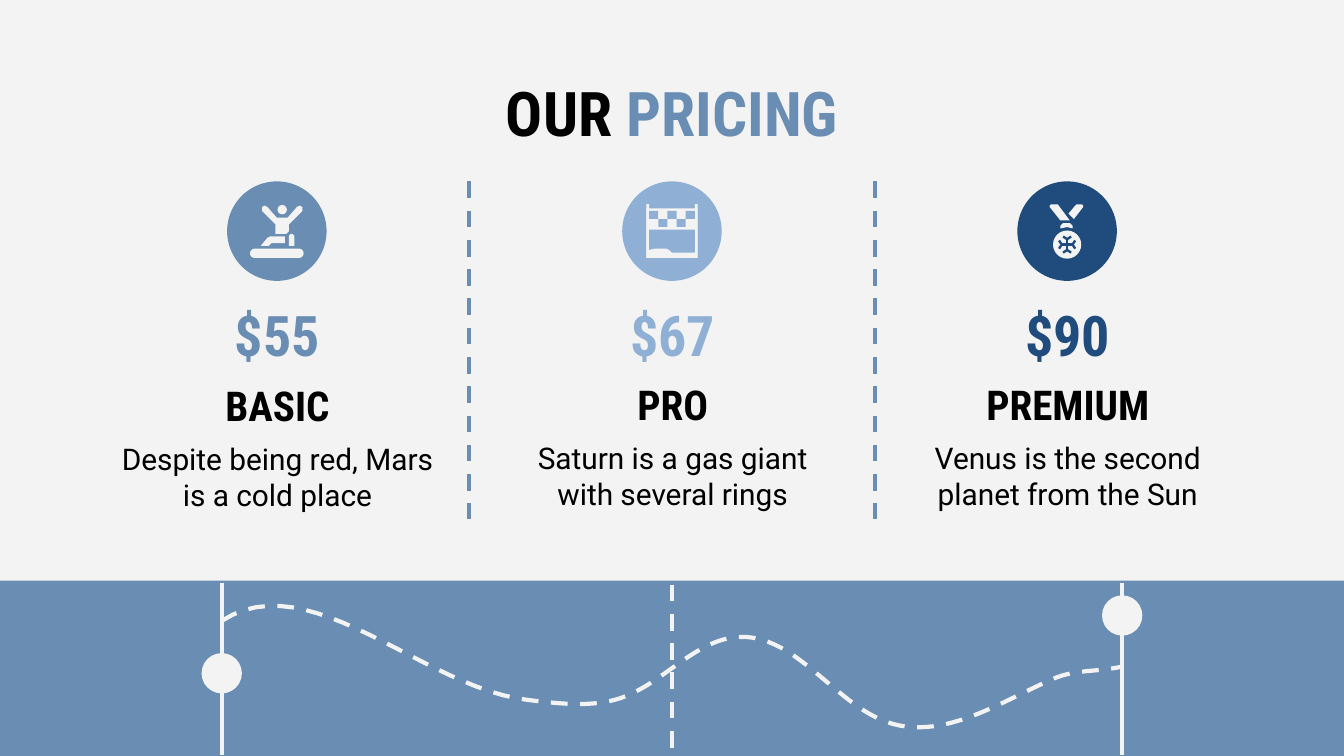
from lxml.etree import SubElement
from pptx import Presentation
from pptx.dml.color import RGBColor
from pptx.enum.dml import MSO_LINE
from pptx.enum.shapes import MSO_CONNECTOR, MSO_SHAPE
from pptx.enum.text import MSO_ANCHOR, MSO_AUTO_SIZE, PP_ALIGN
from pptx.oxml.ns import qn
from pptx.util import Emu, Pt

PX = 9144  # 100 px to the inch
WIDTH = 1000
COLORS = {
    "paper": "F3F3F3",
    "ink": "000000",
    "steel": "6A8DB4",
    "sky": "8FB0D4",
    "navy": "1F4C7C",
}
HEADING, BODY = "Roboto Condensed", "Roboto"


def px(value):
    return Emu(round(value * PX))


def rgb(name):
    return RGBColor.from_string(COLORS[name])


def write(box, *spans, font=BODY, size=16, bold=False):
    """Fill a box with one centred paragraph of (text, colour) spans."""
    frame = box.text_frame
    frame.word_wrap = True
    frame.auto_size = MSO_AUTO_SIZE.NONE
    frame.vertical_anchor = MSO_ANCHOR.TOP
    frame.margin_left = frame.margin_right = px(10)
    frame.margin_top = frame.margin_bottom = px(10)
    para = frame.paragraphs[0]
    para.alignment = PP_ALIGN.CENTER
    para.line_spacing = 1.0
    para.space_before = Pt(0)
    for words, color in spans:
        span = para.add_run()
        span.text = words
        span.font.name = font
        span.font.size = Pt(size)
        span.font.bold = bold
        span.font.color.rgb = rgb(color)


def trace(start, curves, steps=24):
    """Points along a chain of cubic curves."""
    points = [start]
    for curve in curves:
        a, (b, c, d) = points[-1], curve
        for step in range(1, steps + 1):
            t = step / steps
            u = 1 - t
            points.append(tuple(
                u**3 * a[i] + 3 * u * u * t * b[i] + 3 * u * t * t * c[i] + t**3 * d[i]
                for i in (0, 1)))
    return points


class Page:
    def __init__(self, deck):
        self.slide = deck.slides.add_slide(deck.slide_layouts[5])
        self.shapes = self.slide.shapes
        self.slide.background.fill.solid()
        self.slide.background.fill.fore_color.rgb = rgb("paper")

    def title(self, x, y, w, h, *spans, **style):
        box = self.shapes.title
        box.left, box.top, box.width, box.height = map(px, (x, y, w, h))
        write(box, *spans, **style)

    def text(self, x, y, w, h, *spans, **style):
        write(self.shapes.add_textbox(*map(px, (x, y, w, h))), *spans, **style)

    def paint(self, shape, color):
        shape.shadow.inherit = False
        shape.fill.solid()
        shape.fill.fore_color.rgb = rgb(color)
        shape.line.fill.background()

    def shape(self, kind, x, y, w, h, color):
        item = self.shapes.add_shape(kind, *map(px, (x, y, w, h)))
        self.paint(item, color)
        return item

    def rect(self, *place):
        self.shape(MSO_SHAPE.RECTANGLE, *place)

    def disc(self, center_x, center_y, size, color):
        self.shape(MSO_SHAPE.OVAL, center_x - size / 2, center_y - size / 2,
                   size, size, color)

    def outline(self, points, closed):
        places = [(px(x), px(y)) for x, y in points]
        builder = self.shapes.build_freeform(*places[0])
        builder.add_line_segments(places[1:], close=closed)
        return builder.convert_to_shape()

    def polygon(self, points, color="paper"):
        self.paint(self.outline(points, True), color)

    def stroke(self, item, color, width, dashed):
        item.line.color.rgb = rgb(color)
        item.line.width = Pt(width)
        if dashed:
            item.line.dash_style = MSO_LINE.DASH

    def curve(self, points, color, width=2.25, dashed=False):
        item = self.outline(points, False)
        item.shadow.inherit = False
        item.fill.background()
        self.stroke(item, color, width, dashed)

    def line(self, x1, y1, x2, y2, color, width=2.25, dashed=False):
        item = self.shapes.add_connector(
            MSO_CONNECTOR.STRAIGHT, *map(px, (x1, y1, x2, y2)))
        self.stroke(item, color, width, dashed)
        SubElement(item._element.spPr, qn("a:effectLst"))


def draw_track(page):
    """The band at the foot with its poles and winding route."""
    page.rect(0, 432, WIDTH, 131, "steel")
    for x, dashed in ((165, False), (835, False), (500, True)):
        page.line(x, 435 if dashed else 434, x, 562, "paper", dashed=dashed)
    page.disc(165, 501, 30, "paper")
    page.disc(835, 458, 30, "paper")
    page.curve(trace((165, 462), [
        ((231, 419), (316, 513), (394, 521)),
        ((419, 524), (446, 527), (468, 517)),
        ((496, 505), (519, 476), (549, 474)),
        ((595, 471), (625, 532), (670, 540)),
        ((709, 547), (747, 521), (784, 505)),
        ((800, 498), (818, 500), (835, 496)),
    ]), "paper", dashed=True)


def draw_rider(page, color):
    board = page.shape(MSO_SHAPE.ROUNDED_RECTANGLE, 186, 185, 40, 7, "paper")
    board.adjustments[0] = 0.5
    page.disc(210, 156, 7, "paper")
    foot = page.shape(MSO_SHAPE.ROUND_2_SAME_RECTANGLE, 215, 174, 4, 9, "paper")
    foot.adjustments[0] = 0.5
    page.polygon([(197, 153), (199, 154), (206, 162), (214, 162), (221, 154),
                  (223, 153), (225, 154), (225, 157), (215, 167), (215, 172),
                  (213, 174), (205, 174), (205, 167), (195, 157), (195, 154)])
    page.polygon([(201, 176), (212, 176), (212, 181), (202, 181), (200, 183),
                  (194, 183), (199, 177)])


def draw_finish(page, color):
    for x in (481, 517):
        page.rect(x, 152, 2, 40, "paper")
    page.rect(481, 155, 38, 37, "paper")
    cell = 34 / 5
    for column in range(5):
        page.rect(483 + column * cell, 157 + column % 2 * 6, cell, 6, color)
    page.polygon([(483, 171), (517, 171), (517, 188), (500, 188), (498, 186),
                  (496, 185), (487, 185), (483, 186)], color)


def draw_medal(page, color):
    page.polygon([(782, 152), (787, 152), (796, 164), (789, 164), (781, 154),
                  (781, 153)])
    page.polygon([(801, 152), (805, 152), (806, 153), (806, 154), (799, 163),
                  (795, 159), (800, 153)])
    page.polygon([(791, 166), (796, 166), (798, 168), (798, 170), (794, 169),
                  (789, 170), (789, 168)])
    x, y = 794, 182
    page.disc(x, y, 21, "paper")
    for dx, dy in ((1, 0), (0, 1), (-1, 0), (0, -1)):
        fork = x + 4 * dx, y + 4 * dy
        page.line(x, y, *fork, color, width=1.25)
        for side in (-3, 3):
            page.line(*fork, x + 6 * dx + side * dy, y + 6 * dy + side * dx,
                      color, width=1.25)


def main():
    deck = Presentation()
    deck.slide_width, deck.slide_height = px(WIDTH), px(WIDTH * 9 / 16)
    page = Page(deck)
    draw_track(page)
    page.title(78, 46, 844, 63, ("OUR ", "ink"), ("PRICING", "steel"),
               font=HEADING, size=33, bold=True)

    plans = [
        ("$55", "BASIC", "Despite being red, Mars is a cold place", "steel", 1, draw_rider),
        ("$67", "PRO", "Saturn is a gas giant with several rings", "sky", 0, draw_finish),
        ("$90", "PREMIUM", "Venus is the second planet from the Sun", "navy", 0, draw_medal),
    ]
    for index, (price, name, detail, color, drop, draw_icon) in enumerate(plans):
        center = 206 + 294 * index
        left, width = center - 128, 257
        page.disc(center, 172, 74, color)
        draw_icon(page, color)
        page.text(left, 214, width, 70, (price, color), font=HEADING, size=30, bold=True)
        page.text(left, 272 + drop, width, 48, (name, "ink"), font=HEADING, size=22, bold=True)
        page.text(left, 317 + drop, width, 63, (detail, "ink"))

    for x in (349, 651):
        page.line(x, 135, x, 386, "steel", dashed=True)
    deck.save("out.pptx")


if __name__ == "__main__":
    main()
